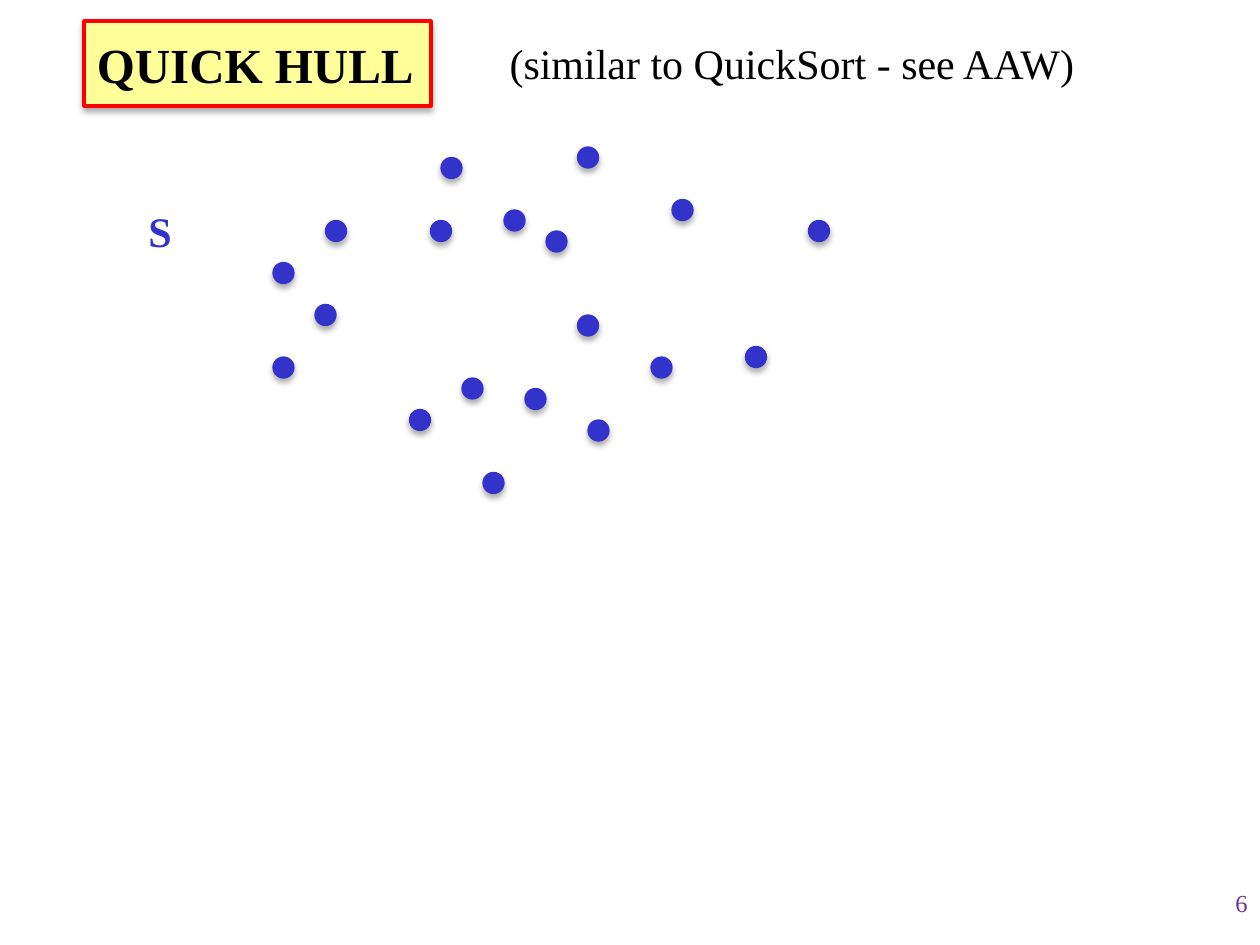
from dataclasses import dataclass

from lxml import etree
from pptx import Presentation
from pptx.dml.color import RGBColor
from pptx.enum import shapes, text
from pptx.oxml.ns import qn
from pptx.util import Inches, Pt


@dataclass(frozen=True)
class Theme:
    font: str = "Times New Roman"
    black: str = "000000"
    blue: str = "3333CC"
    yellow: str = "FFFF99"
    red: str = "FF0000"
    purple: str = "7030A0"
    title_size: int = 28
    body_size: int = 24
    number_size: int = 14


THEME = Theme()
GRID = 1 / 12  # inches; every point of S lies on this grid
DOT = 2 * GRID
POINTS = [
    (26, 34), (41, 21), (52, 22), (48, 20), (64, 19), (31, 21), (62, 34),
    (50, 37), (39, 39), (56, 40), (46, 45), (71, 33), (77, 21), (26, 25),
    (42, 15), (55, 14), (44, 36), (55, 30), (30, 29),
]


def add_shadowed_shape(s, kind, box, fill, line, line_width):
    """Add a filled, outlined shape with a soft shadow below it."""
    sp = s.shapes.add_shape(kind, *map(Inches, box))
    sp.fill.solid()
    sp.fill.fore_color.rgb = RGBColor.from_string(fill)
    sp.line.color.rgb = RGBColor.from_string(line)
    sp.line.width = Pt(line_width)
    sp.shadow.inherit = False
    effects = sp._element.spPr.find(qn("a:effectLst"))
    shadow = etree.SubElement(effects, qn("a:outerShdw"), blurRad=str(Pt(3.5)),
                              dist=str(Pt(2.2)), dir="5400000", rotWithShape="0")
    color = etree.SubElement(shadow, qn("a:srgbClr"), val=THEME.black)
    etree.SubElement(color, qn("a:alpha"), val="32000")
    return sp


def write(sp, words, size, color, align=text.PP_ALIGN.LEFT, bold=False):
    p = sp.text_frame.paragraphs[0]
    p.alignment = align
    r = p.add_run()
    r.text = words
    r.font.name = THEME.font
    r.font.size = Pt(size)
    r.font.bold = bold
    r.font.color.rgb = RGBColor.from_string(color)


prs = Presentation()
prs.slide_width = Inches(10)
prs.slide_height = Inches(7.5)
s = prs.slides.add_slide(prs.slide_layouts[6])

# Title
title = add_shadowed_shape(s, shapes.MSO_SHAPE.RECTANGLE, (0.67, 0.17, 2.75, 0.67),
                           THEME.yellow, THEME.red, 2.25)
title.text_frame.vertical_anchor = text.MSO_ANCHOR.MIDDLE
write(title, "QUICK HULL", THEME.title_size, THEME.black, bold=True)

# Point set S
for column, row in POINTS:
    add_shadowed_shape(s, shapes.MSO_SHAPE.OVAL, (column * GRID, row * GRID, DOT, DOT),
                       THEME.blue, THEME.blue, 0.75)

# Labels and slide number
set_label = s.shapes.add_textbox(Inches(1.08), Inches(1.58), Inches(0.39), Inches(0.5))
set_label.text_frame.word_wrap = False
write(set_label, "S", THEME.body_size, THEME.blue, bold=True)

remark = s.shapes.add_textbox(Inches(3.92), Inches(0.25), Inches(4.73), Inches(0.5))
remark.text_frame.word_wrap = False
write(remark, "(similar to QuickSort - see AAW)", THEME.body_size, THEME.black,
      text.PP_ALIGN.CENTER)

number = s.shapes.add_textbox(Inches(7.92), Inches(7), Inches(2.08), Inches(0.5))
number.text_frame.word_wrap = True
write(number, "6", THEME.number_size, THEME.purple, text.PP_ALIGN.RIGHT)

prs.save("out.pptx")
